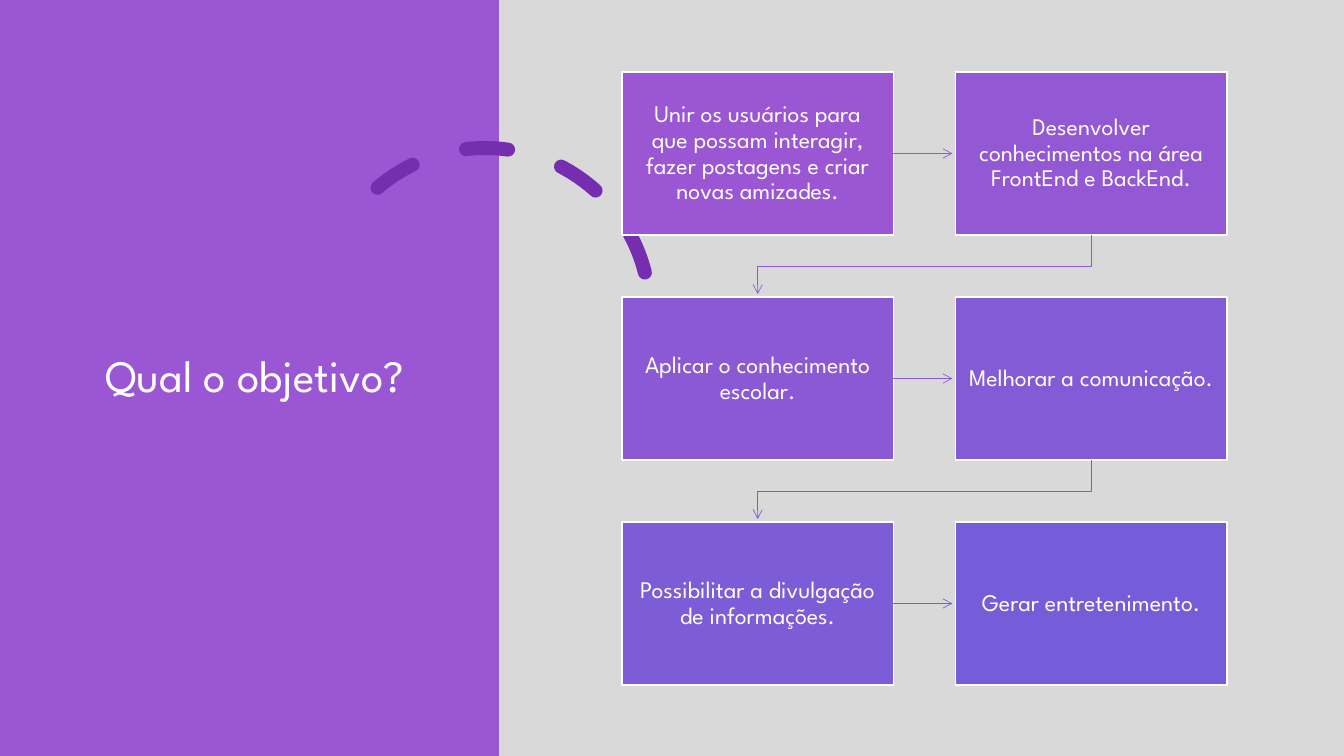
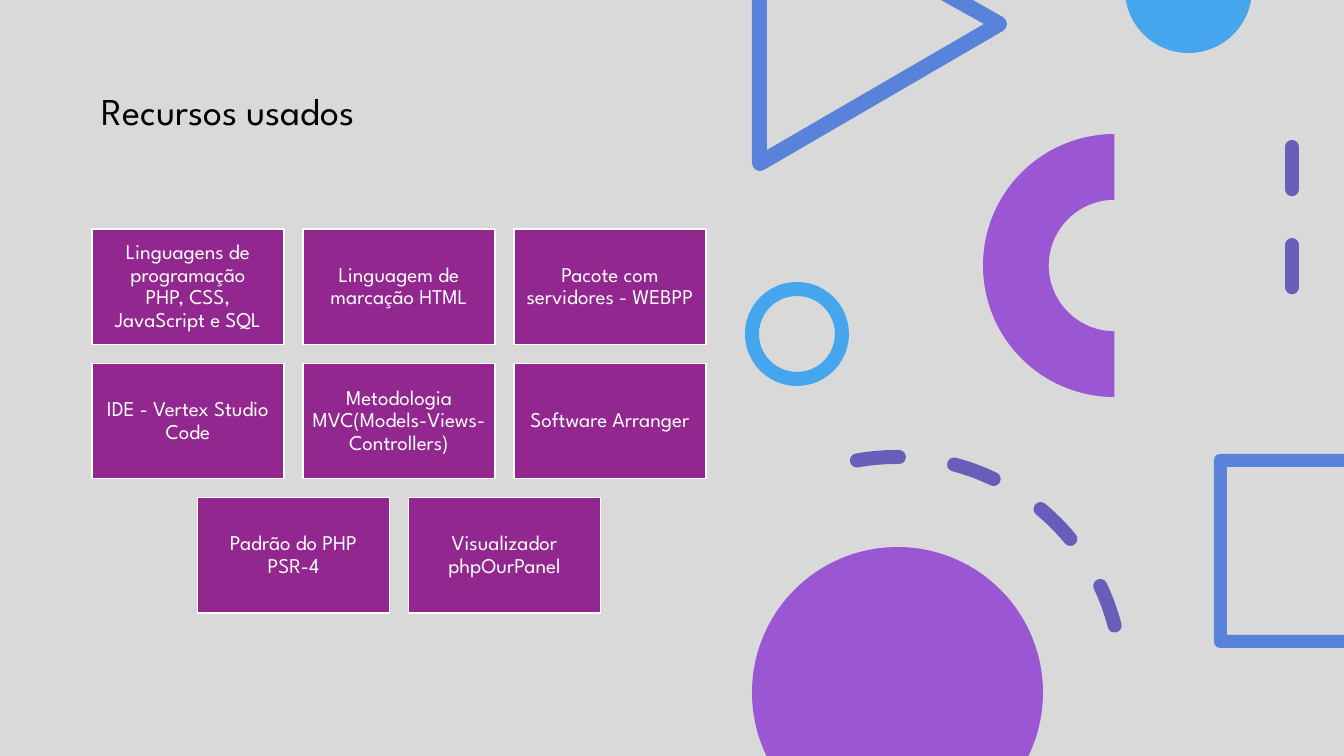
import math
from dataclasses import dataclass

from lxml import etree
from pptx import Presentation
from pptx import util as u
from pptx.dml import color
from pptx.enum import dml, shapes, text
from pptx.oxml import ns

SCALE = 914400 / 100.8  # EMU per px
WIDE, HIGH = 1344, 756
GEO = shapes.MSO_SHAPE
TIE = chr(160)  # space that does not break


@dataclass(frozen=True)
class Theme:
    font: str = "League Spartan"
    back: str = "D9D9D9"
    white: str = "FFFFFF"
    black: str = "000000"
    purple: str = "9B57D3"
    violet: str = "755DD9"
    deep: str = "762EB1"
    indigo: str = "665EB8"
    plum: str = "92278F"
    sky: str = "45A5ED"
    blue: str = "5982DB"
    head: int = 32
    title: int = 27
    step: int = 17
    card: int = 15
    edge: float = 1
    thin: float = 0.5
    bold: float = 10


T = Theme()


def px(n):
    return u.Emu(round(n * SCALE))


def rgb(tone):
    return color.RGBColor.from_string(tone)


def mix(start, end, part):
    """Blend two colours; part runs from 0 to 1."""
    pairs = zip(bytes.fromhex(start), bytes.fromhex(end))
    return "".join(f"{round(a + (b - a) * part):02X}" for a, b in pairs)


# Drawing helpers

def paint(item, fill=None, line=None, width=T.edge, dash=False, arrow=False):
    """Set fill and line of a shape, or the line of a connector."""
    if hasattr(item, "fill"):
        if fill:
            item.fill.solid()
            item.fill.fore_color.rgb = rgb(fill)
        else:
            item.fill.background()
    if line:
        item.line.color.rgb = rgb(line)
        item.line.width = u.Pt(width)
    else:
        item.line.fill.background()
    if dash:
        item.line.dash_style = dml.MSO_LINE.DASH
        item.line._get_or_add_ln().set("cap", "rnd")
    if arrow:
        ln = item.line._get_or_add_ln()
        etree.SubElement(ln, ns.qn("a:tailEnd"), type="arrow")
    if hasattr(item, "shadow"):
        item.shadow.inherit = False
    else:
        etree.SubElement(item._element.spPr, ns.qn("a:effectLst"))
    return item


def add(slide, kind, x, y, w, h, turn=0, **look):
    item = slide.shapes.add_shape(kind, px(x), px(y), px(w), px(h))
    item.rotation = turn
    return paint(item, **look)


def join(slide, x1, y1, x2, y2, **look):
    item = slide.shapes.add_connector(
        shapes.MSO_CONNECTOR.STRAIGHT, px(x1), px(y1), px(x2), px(y2))
    return paint(item, **look)


def trace(slide, dots, close=True, **look):
    dots = [(px(x), px(y)) for x, y in dots]
    pen = slide.shapes.build_freeform(*dots[0], scale=1)
    pen.add_line_segments(dots[1:], close=close)
    return paint(pen.convert_to_shape(), **look)


def curve(cx, cy, r, start, end):
    """Points of a rounded corner, in degrees clockwise from the right."""
    turns = [math.radians(a) for a in range(start, end + 1, 30)]
    return [(cx + r * math.cos(a), cy + r * math.sin(a)) for a in turns]


def write(item, words, size, tone=T.white, center=True, inset=(10, 5)):
    frame = item.text_frame
    frame.word_wrap = True
    frame.vertical_anchor = text.MSO_ANCHOR.MIDDLE
    frame.margin_left = frame.margin_right = px(inset[0])
    frame.margin_top = frame.margin_bottom = px(inset[1])
    para = frame.paragraphs[0]
    para.alignment = text.PP_ALIGN.CENTER if center else text.PP_ALIGN.LEFT
    para.line_spacing = 0.9
    run = para.add_run()
    run.text = words
    run.font.name, run.font.size = T.font, u.Pt(size)
    run.font.color.rgb = rgb(tone)


def label(slide, words, x, y, w, h, **form):
    item = slide.shapes.add_textbox(px(x), px(y), px(w), px(h))
    write(item, words, **form)


def card(slide, words, x, y, w, h, fill, **form):
    item = add(slide, GEO.RECTANGLE, x, y, w, h, fill=fill, line=T.white)
    write(item, words, **form)


# Regions

def panel(slide, words, x, y, w, h):
    """Coloured side band with a dashed arc and a centred title."""
    add(slide, GEO.RECTANGLE, x, y, w, h, fill=T.purple)
    arc = add(slide, GEO.ARC, x + 320, y + 148, 330, 330, turn=345.8,
              line=T.deep, width=T.bold, dash=True)
    arc.adjustments[0] = 146.13
    label(slide, words, x + 92, y + 71, 326, 614, size=T.head)


def flow(slide, steps, x, y, w, h):
    """Two-column chain of steps, linked by arrows in reading order."""
    gap = 62
    wide, tall = (w - gap) / 2, (h - 2 * gap) / 3
    last = len(steps) - 1
    for i, words in enumerate(steps):
        row, col = divmod(i, 2)
        left, top = x + col * (wide + gap), y + row * (tall + gap)
        card(slide, words, left, top, wide, tall,
             mix(T.purple, T.violet, i / last), size=T.step, inset=(13, 14))
        if i == last:
            break
        look = dict(line=mix(T.purple, T.violet, i / (last - 1)),
                    width=T.thin, arrow=True)
        if col == 0:
            mid, edge = top + tall / 2, left + wide
            join(slide, edge, mid, edge + gap - 3, mid, **look)
        else:
            low, start, end = top + tall, left + wide / 2, x + wide / 2
            bend = low + gap / 2
            trace(slide, [(start, low), (start, bend), (end, bend),
                          (end, low + gap - 3)], close=False, **look)


def cards(slide, rows, x, y, w, h):
    """Rows of equal cards, each row centred in the box."""
    gap = 19
    wide = (w - 2 * gap) / 3
    tall = (h - gap * (len(rows) - 1)) / len(rows)
    for r, row in enumerate(rows):
        left = x + (w - len(row) * (wide + gap) + gap) / 2
        for c, words in enumerate(row):
            card(slide, words, left + c * (wide + gap), y + r * (tall + gap),
                 wide, tall, T.plum, size=T.card, inset=(6, 6))


def decor(slide, x, y):
    """Geometric shapes that run to the right edge of the slide."""
    stroke = dict(line=T.indigo, width=T.bold, dash=True)
    add(slide, GEO.OVAL, x + 373, y - 74, 127, 127, fill=T.sky)
    add(slide, GEO.OVAL, x, y + 289, 90, 90, line=T.sky, width=T.bold)
    add(slide, GEO.BLOCK_ARC, x + 231, y + 134, 263, 263, turn=270,
        fill=T.purple)
    # Triangle frame
    inner = [(0, 0), (15, 0), (15, 150), (232, 24), (189, 0), (221, 0)]
    rim = curve(247, 24, 8, -60, 60) + curve(8, 163, 8, 60, 180)
    trace(slide, [(x + a, y + b) for a, b in inner + rim], fill=T.blue)
    join(slide, x + 540, y + 147, x + 540, y + 323, **stroke)
    # Square frame
    side = WIDE - x
    inner = [(side, 454), (side, 467), (475, 467), (475, 635),
             (side, 635), (side, 648)]
    rim = curve(468, 642, 6, 90, 180) + curve(468, 460, 6, 180, 270)
    trace(slide, [(x + a, y + b) for a, b in inner + rim], fill=T.blue)
    add(slide, GEO.ARC, x - 81, y + 457, 451, 451, turn=349.9, **stroke)
    add(slide, GEO.OVAL, x, y + 547, 291, 291, fill=T.purple)


# Slides

def blank(deck):
    slide = deck.slides.add_slide(deck.slide_layouts[6])
    slide.background.fill.solid()
    slide.background.fill.fore_color.rgb = rgb(T.back)
    add(slide, GEO.RECTANGLE, 0, 0, WIDE, HIGH, fill=T.back)
    return slide


def goals(deck):
    slide = blank(deck)
    panel(slide, "Qual o objetivo?", 0, 0, 499, HIGH)
    flow(slide, [
        "Unir os usuários para que possam interagir, fazer postagens e "
        "criar novas amizades.",
        "Desenvolver conhecimentos na área FrontEnd e BackEnd.",
        "Aplicar o conhecimento escolar.",
        "Melhorar a comunicação.",
        "Possibilitar a divulgação de informações.",
        "Gerar entretenimento.",
    ], 622, 72, 605, 613)


def tools(deck):
    slide = blank(deck)
    label(slide, "Recursos usados", 92, 40, 613, 146,
          size=T.title, tone=T.black, center=False)
    cards(slide, [
        [f"Linguagens de programação PHP,{TIE}CSS, JavaScript e SQL",
         "Linguagem de marcação HTML",
         "Pacote com servidores - WEBPP"],
        ["IDE - Vertex Studio Code",
         "Metodologia MVC(Models-Views-Controllers)",
         "Software Arranger"],
        ["Padrão do PHP PSR-4", "Visualizador phpOurPanel"],
    ], 92, 229, 614, 384)
    decor(slide, 752, 0)


def main():
    deck = Presentation()
    deck.slide_width, deck.slide_height = px(WIDE), px(HIGH)
    goals(deck)
    tools(deck)
    deck.save("out.pptx")


if __name__ == "__main__":
    main()
